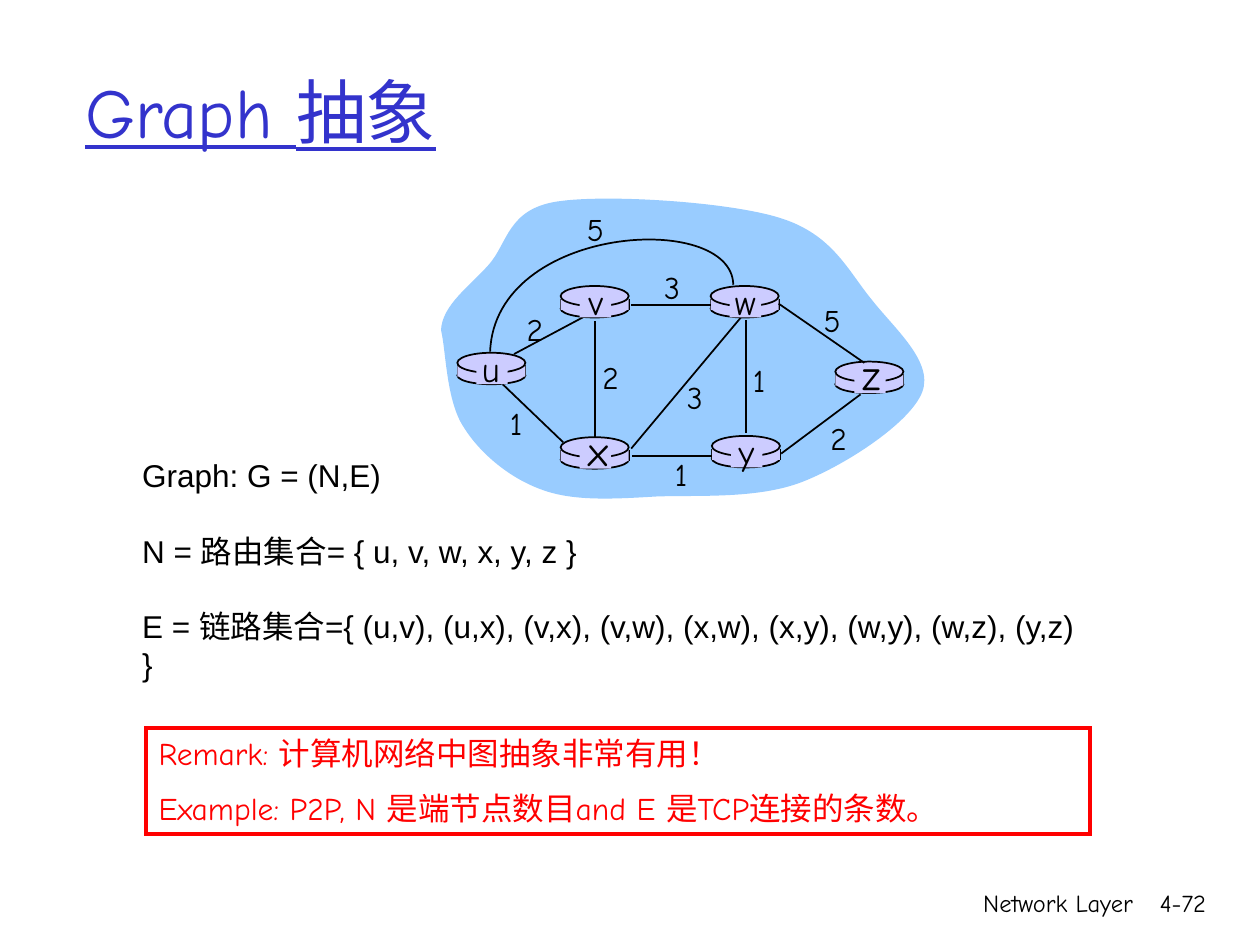
from lxml.etree import SubElement
from pptx import Presentation
from pptx.dml.color import RGBColor
from pptx.enum.shapes import MSO_CONNECTOR, MSO_SHAPE
from pptx.enum.text import MSO_ANCHOR, PP_ALIGN
from pptx.oxml.ns import qn
from pptx.util import Inches, Pt

BLACK = RGBColor(0x00, 0x00, 0x00)
BLUE = RGBColor(0x33, 0x33, 0xCC)
RED = RGBColor(0xFF, 0x00, 0x00)
SKY = RGBColor(0x99, 0xCC, 0xFF)
LILAC = RGBColor(0xCC, 0xCC, 0xFF)

COMIC = "Comic Neue"
ROUTER_WIDTH = 0.54

TITLE = {"name": COMIC, "size": Pt(40), "underline": True}
BODY = {"name": "Arial", "size": Pt(18)}
REMARK = {"name": COMIC, "size": Pt(18)}
FOOTER = {"name": COMIC, "size": Pt(14)}

ROUTERS = {
    "u": (3.63, 2.80, 3.72, 20),
    "x": (4.45, 3.47, 4.55, 24),
    "v": (4.45, 2.27, 4.56, 20),
    "w": (5.64, 2.27, 5.72, 20),
    "y": (5.65, 3.46, 5.75, 20),
    "z": (6.63, 2.87, 6.73, 24),
}
LETTER_WIDTHS = {"u": 0.35, "x": 0.4, "v": 0.34, "w": 0.39, "y": 0.35, "z": 0.38}

LINKS = [
    (4.08, 2.81, 4.68, 2.49),
    (5.92, 2.54, 5.92, 3.44),
    (4.72, 2.55, 4.72, 3.48),
    (5.01, 3.56, 5.88, 2.52),
    (6.20, 3.60, 6.83, 3.13),
    (5.65, 3.62, 5.02, 3.62),
    (4.47, 3.51, 3.99, 3.05),
    (5.64, 2.42, 5.01, 2.42),
    (6.86, 2.88, 6.18, 2.41),
]

COSTS = [
    ("2", 4.07, 2.41), ("2", 4.67, 2.79), ("1", 3.94, 3.16),
    ("3", 5.34, 2.95), ("1", 5.25, 3.56), ("1", 5.87, 2.82),
    ("2", 6.48, 3.28), ("5", 6.43, 2.34), ("3", 5.16, 2.08),
    ("5", 4.55, 1.62),
]

CLOUD = [
    (3.5, 2.62),
    (3.51, 2.42), (3.73, 2.27), (3.88, 2.1),
    (4.03, 1.93), (4.03, 1.66), (4.42, 1.6),
    (4.8, 1.54), (5.78, 1.6), (6.19, 1.73),
    (6.61, 1.86), (6.73, 2.15), (6.92, 2.38),
    (7.1, 2.61), (7.41, 2.87), (7.32, 3.11),
    (7.23, 3.35), (6.73, 3.68), (6.38, 3.82),
    (6.03, 3.96), (5.57, 3.93), (5.22, 3.94),
    (4.88, 3.96), (4.56, 3.98), (4.31, 3.89),
    (4.05, 3.8), (3.81, 3.6), (3.68, 3.39),
    (3.54, 3.18), (3.54, 2.78), (3.5, 2.62),
]
LONG_LINK = [(5.82, 2.26), (5.81, 1.67), (3.93, 1.78), (3.89, 2.79)]


def apply_format(target, values):
    for attribute, value in values.items():
        setattr(target, attribute, value)


def paint(shape, fill=None, line=None, width=1):
    shape.shadow.inherit = False
    if fill is None:
        shape.fill.background()
    else:
        shape.fill.solid()
        shape.fill.fore_color.rgb = fill
    if line is None:
        shape.line.fill.background()
    else:
        shape.line.color.rgb = line
        shape.line.width = Pt(width)
        SubElement(shape._element.spPr.find(qn("a:ln")), qn("a:miter"), lim="800000")


def add_preset(slide, preset, box, **colors):
    shape = slide.shapes.add_shape(preset, *map(Inches, box))
    paint(shape, **colors)
    return shape


def add_line(slide, ends):
    line = slide.shapes.add_connector(MSO_CONNECTOR.STRAIGHT, *map(Inches, ends))
    line.line.color.rgb = BLACK
    line.line.width = Pt(1)
    SubElement(line._element.spPr, qn("a:effectLst"))


def add_curve(slide, knots, close, **colors):
    start, *controls = [(Inches(x), Inches(y)) for x, y in knots]
    builder = slide.shapes.build_freeform(*start)
    builder.add_line_segments(controls, close=close)
    shape = builder.convert_to_shape()
    outline = next(shape._element.iter(qn("a:path")))
    segments = outline.findall(qn("a:lnTo"))
    for index in range(0, len(segments), 3):
        bend = SubElement(outline, qn("a:cubicBezTo"))
        segments[index].addprevious(bend)
        for segment in segments[index:index + 3]:
            bend.append(segment[0])
            outline.remove(segment)
    paint(shape, **colors)


def write(shape, lines, font, color, align=PP_ALIGN.LEFT, gap=0, **frame_format):
    frame = shape.text_frame
    apply_format(frame, {"word_wrap": True, "vertical_anchor": MSO_ANCHOR.TOP, **frame_format})
    for index, line in enumerate(lines):
        paragraph = frame.add_paragraph() if index else frame.paragraphs[0]
        paragraph.alignment = align
        if index and gap:
            paragraph.space_before = Pt(gap)
        run = paragraph.add_run()
        run.text = line
        apply_format(run.font, font)
        run.font.color.rgb = color


def add_text(slide, box, lines, font, color=BLACK, **layout):
    write(slide.shapes.add_textbox(*map(Inches, box)), lines, font, color, **layout)


def add_label(slide, box, text, size):
    font = {"name": COMIC, "size": Pt(size)}
    add_text(slide, box, [text], font, align=PP_ALIGN.CENTER, word_wrap=False)


def add_router(slide, left, top):
    add_preset(slide, MSO_SHAPE.OVAL, (left, top + 0.11, ROUTER_WIDTH, 0.14), fill=LILAC, line=BLACK)
    for side in (left, left + ROUTER_WIDTH):
        add_line(slide, (side, top + 0.1, side, top + 0.19))
    add_preset(slide, MSO_SHAPE.RECTANGLE, (left, top + 0.1, ROUTER_WIDTH, 0.09), fill=LILAC)
    add_preset(slide, MSO_SHAPE.OVAL, (left, top, ROUTER_WIDTH, 0.16), fill=LILAC, line=BLACK)


def add_router_name(slide, name, left, top, label_left, size):
    add_preset(slide, MSO_SHAPE.RECTANGLE, (left + 0.15, top + 0.02, 0.25, 0.23), fill=LILAC)
    height, rise = (0.5, 0.15) if size == 24 else (0.43, 0.09)
    add_label(slide, (label_left, top - rise, LETTER_WIDTHS[name], height), name, size)


def add_graph(slide):
    add_curve(slide, CLOUD, True, fill=SKY)
    for left, top, _, _ in ROUTERS.values():
        add_router(slide, left, top)
    for ends in LINKS:
        add_line(slide, ends)
    add_curve(slide, LONG_LINK, False, line=BLACK)
    for name, placement in ROUTERS.items():
        add_router_name(slide, name, *placement)
    for cost, left, top in COSTS:
        add_label(slide, (left, top, 0.31 if cost == "1" else 0.35, 0.4), cost, 18)


def main():
    deck = Presentation()
    deck.slide_width, deck.slide_height = Inches(10), Inches(7.5)
    slide = deck.slides.add_slide(deck.slide_layouts[6])

    add_text(slide, (5.92, 7, 3.17, 0.5), ["Network Layer"], FOOTER, align=PP_ALIGN.RIGHT)
    add_text(slide, (8.93, 7, 0.74, 0.5), ["4-72"], FOOTER, align=PP_ALIGN.RIGHT)
    add_graph(slide)
    definitions = [
        "Graph: G = (N,E)",
        "N = 路由集合= { u, v, w, x, y, z }",
        "E = 链路集合={ (u,v), (u,x), (v,x), (v,w), (x,w), (x,y), (w,y), (w,z), (y,z) }",
    ]
    add_text(slide, (1.03, 3.57, 7.83, 1.62), definitions, BODY, gap=21.6, margin_right=Inches(0.3))
    add_text(slide, (0.58, 0.25, 8.5, 1.25), ["Graph 抽象"], TITLE, BLUE,
             vertical_anchor=MSO_ANCHOR.MIDDLE)
    remark = add_preset(slide, MSO_SHAPE.RECTANGLE, (1.16, 5.78, 7.49, 0.84), line=RED, width=2.25)
    remarks = ["Remark: 计算机网络中图抽象非常有用！", "Example: P2P, N 是端节点数目and E 是TCP连接的条数。"]
    write(remark, remarks, REMARK, RED, gap=9.5)

    deck.save("out.pptx")


if __name__ == "__main__":
    main()
